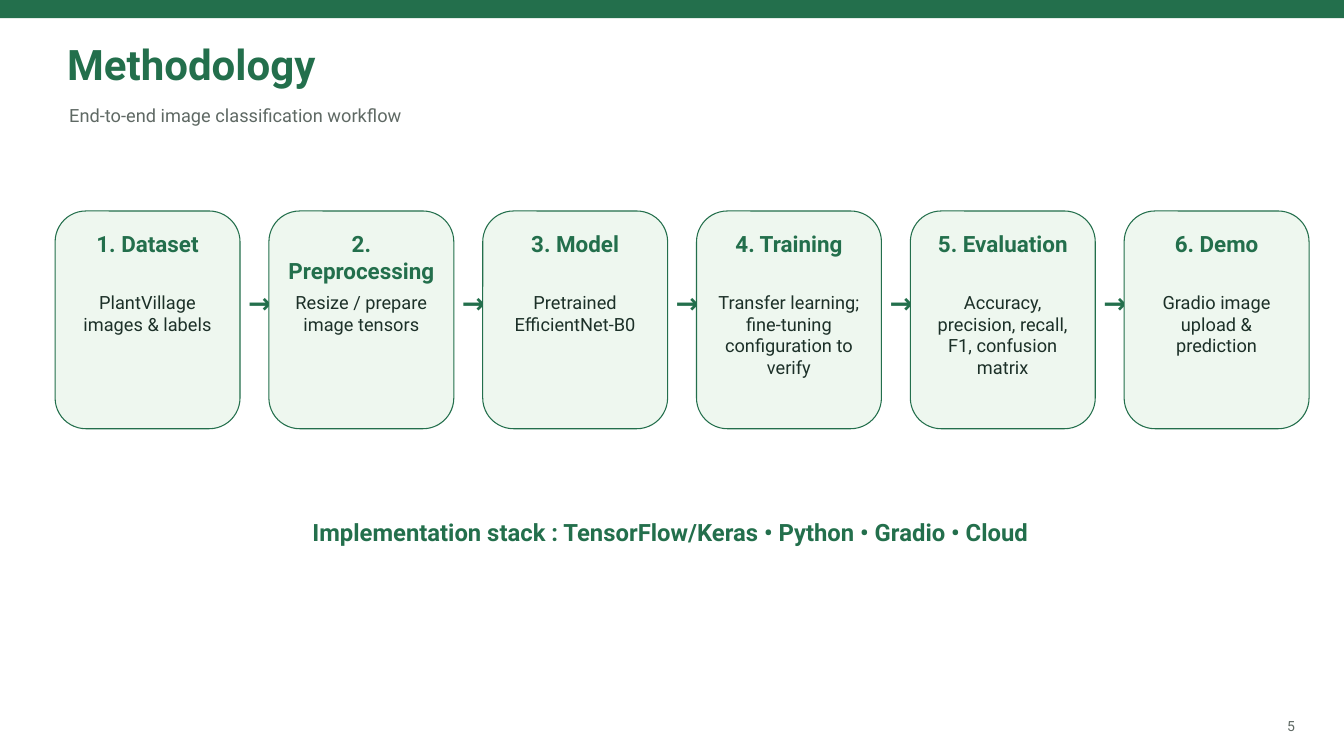
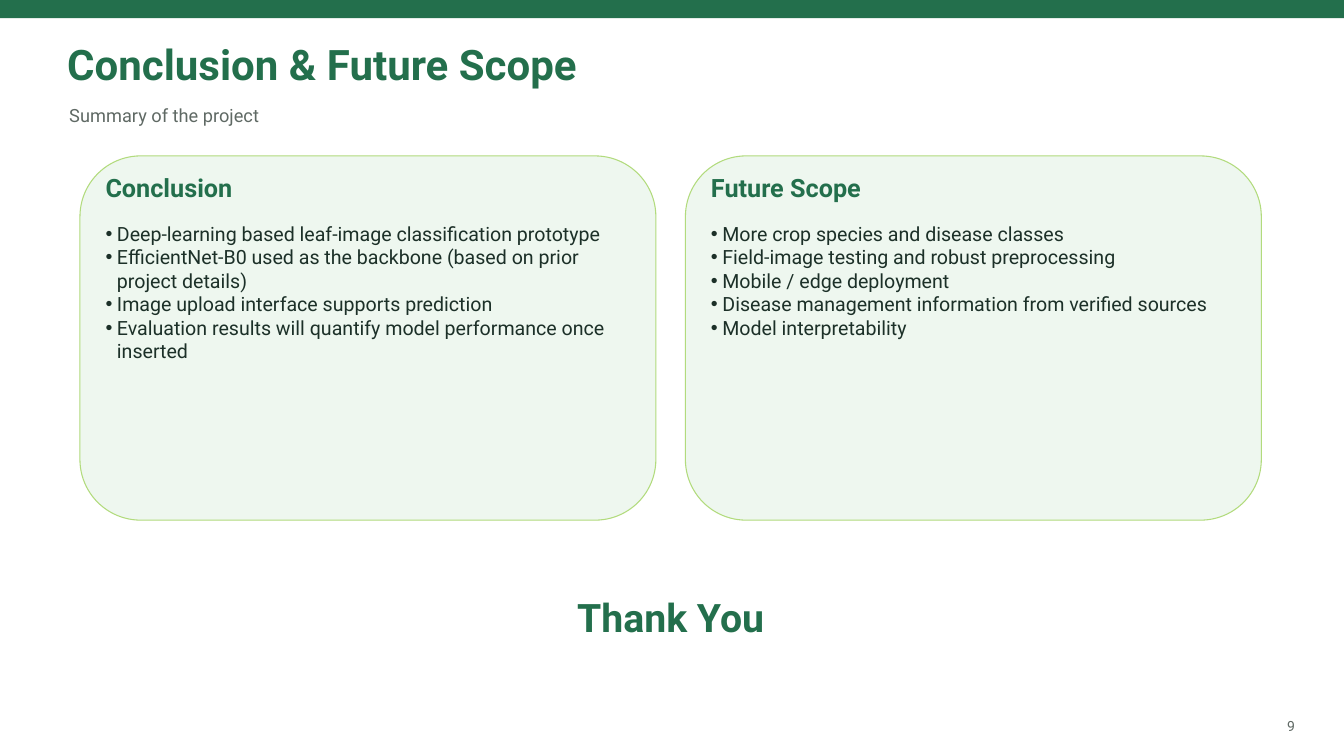
from dataclasses import dataclass

from lxml.etree import SubElement
from pptx import Presentation
from pptx.dml.color import RGBColor
from pptx.enum.shapes import MSO_SHAPE
from pptx.enum.text import MSO_ANCHOR, MSO_AUTO_SIZE, PP_ALIGN
from pptx.oxml.ns import qn
from pptx.util import Inches, Pt


@dataclass(frozen=True)
class Theme:
    """Colours, font and type sizes shared by the slides."""
    font: str = "Roboto"
    green: str = "236F4C"
    lime: str = "B2DB7D"
    pale: str = "EEF7EF"
    ink: str = "1C3028"
    grey: str = "5F6964"
    title: float = 45
    closing: float = 42
    arrow: float = 30
    heading: float = 27
    stack: float = 25.5
    step: float = 24
    bullet: float = 21
    text: float = 19.5
    number: float = 15
    leading: float = 1.2
    outline: float = 1.13


@dataclass(frozen=True)
class Box:
    """A rectangle in inches."""
    left: float
    top: float
    width: float
    height: float

    def inner(self, dx, dy, width, height):
        """Return a box offset from this one's top left corner."""
        return Box(self.left + dx, self.top + dy, width, height)

    def emu(self):
        """Return the four lengths as Inches."""
        return [Inches(v) for v in (self.left, self.top, self.width, self.height)]


THEME = Theme()
TITLE_ONLY, TWO_CONTENT = 5, 3
STEPS = [
    ("1. Dataset", "PlantVillage images & labels"),
    ("2. Preprocessing", "Resize / prepare image tensors"),
    ("3. Model", "Pretrained EfficientNet-B0"),
    ("4. Training", "Transfer learning; fine-tuning configuration to verify"),
    ("5. Evaluation", "Accuracy, precision, recall, F1, confusion matrix"),
    ("6. Demo", "Gradio image upload & prediction"),
]
CARDS = [
    ("Conclusion", [
        "Deep-learning based leaf-image classification prototype",
        "EfficientNet-B0 used as the backbone (based on prior project details)",
        "Image upload interface supports prediction",
        "Evaluation results will quantify model performance once inserted",
    ]),
    ("Future Scope", [
        "More crop species and disease classes",
        "Field-image testing and robust preprocessing",
        "Mobile / edge deployment",
        "Disease management information from verified sources",
        "Model interpretability",
    ]),
]


def write(sp, text, size, color, bold=False, align=PP_ALIGN.LEFT):
    """Fill a shape with evenly styled text, one paragraph per line."""
    tf = sp.text_frame
    tf.text = text
    tf.word_wrap = True
    tf.auto_size = MSO_AUTO_SIZE.NONE
    tf.vertical_anchor = MSO_ANCHOR.TOP
    tf.margin_left = tf.margin_top = tf.margin_right = tf.margin_bottom = 0
    for p in tf.paragraphs:
        p.alignment = align
        p.line_spacing = Pt(size * THEME.leading)
        p.space_before = Pt(0)
        for r in p.runs:
            r.font.name = THEME.font
            r.font.size = Pt(size)
            r.font.bold = bold
            r.font.color.rgb = RGBColor.from_string(color)


def add_text(slide, box, *args, **kwargs):
    """Add a text box and write into it."""
    write(slide.shapes.add_textbox(*box.emu()), *args, **kwargs)


def place(sp, box):
    """Move a placeholder to a box."""
    sp.left, sp.top, sp.width, sp.height = box.emu()


def add_panel(slide, box, fill, line=None, preset=MSO_SHAPE.ROUNDED_RECTANGLE):
    """Add a flat filled shape with an optional outline."""
    sp = slide.shapes.add_shape(preset, *box.emu())
    sp.shadow.inherit = False
    sp.fill.solid()
    sp.fill.fore_color.rgb = RGBColor.from_string(fill)
    if line:
        sp.line.color.rgb = RGBColor.from_string(line)
        sp.line.width = Pt(THEME.outline)
    else:
        sp.line.fill.background()


def add_bullets(tf, indent):
    """Give every paragraph a hanging bullet."""
    for p in tf.paragraphs:
        pPr = p._p.get_or_add_pPr()
        pPr.set("marL", str(Inches(indent)))
        pPr.set("indent", str(-Inches(indent)))
        SubElement(pPr, qn("a:buChar")).set("char", "•")


def add_base(prs, layout, title, subtitle, number):
    """Add a slide with the top band, title, subtitle and page number."""
    slide = prs.slides.add_slide(prs.slide_layouts[layout])
    add_panel(slide, Box(0, 0, 20, 0.27), THEME.green, preset=MSO_SHAPE.RECTANGLE)
    place(slide.shapes.title, Box(1, 0.58, 17.96, 0.88))
    write(slide.shapes.title, title, THEME.title, THEME.green, bold=True)
    add_text(slide, Box(1.03, 1.55, 17.81, 0.47), subtitle, THEME.text, THEME.grey)
    add_text(slide, Box(18.79, 10.68, 0.48, 0.28), str(number), THEME.number,
             THEME.grey, align=PP_ALIGN.RIGHT)
    return slide


def add_step(slide, box, name, detail):
    """Add one workflow step with its name and detail."""
    add_panel(slide, box, THEME.pale, THEME.green)
    width = box.width - 0.58
    add_text(slide, box.inner(0.29, 0.29, width, 0.68), name, THEME.step,
             THEME.green, bold=True, align=PP_ALIGN.CENTER)
    add_text(slide, box.inner(0.29, 1.19, width, 1.63), detail, THEME.text,
             THEME.ink, align=PP_ALIGN.CENTER)


def add_workflow(slide, box, steps, gap=0.43):
    """Spread the steps across a box with arrows in the gaps."""
    width = (box.width - gap * (len(steps) - 1)) / len(steps)
    for i, (name, detail) in enumerate(steps):
        step = box.inner(i * (width + gap), 0, width, box.height)
        if i:
            add_text(slide, step.inner(0.12 - gap, 1.11, 0.18, 0.5), "→", THEME.arrow,
                     THEME.green, bold=True, align=PP_ALIGN.CENTER)
        add_step(slide, step, name, detail)


def add_card(slide, box, body, heading, items):
    """Add a card whose list sits in a body placeholder."""
    add_panel(slide, box, THEME.pale, THEME.lime)
    width = box.width - 0.76
    add_text(slide, box.inner(0.38, 0.24, width, 0.53), heading, THEME.heading,
             THEME.green, bold=True)
    place(body, box.inner(0.38, 0.98, width, 4.19))
    write(body, "\n".join(items), THEME.bullet, THEME.ink)
    add_bullets(body.text_frame, 0.17)
    slide.shapes._spTree.append(body._element)


def add_closing(slide, box, text, size):
    """Add a centred bold line below the main content."""
    add_text(slide, box, text, size, THEME.green, bold=True, align=PP_ALIGN.CENTER)


def build_methodology(prs):
    """Build the workflow slide."""
    slide = add_base(prs, TITLE_ONLY, "Methodology",
                     "End-to-end image classification workflow", 5)
    add_workflow(slide, Box(0.82, 3.14, 18.66, 3.24), STEPS)
    add_closing(slide, Box(1.3, 7.71, 17.36, 0.42),
                "Implementation stack : TensorFlow/Keras • Python • Gradio • Cloud",
                THEME.stack)


def build_conclusion(prs):
    """Build the closing slide with its two cards."""
    slide = add_base(prs, TWO_CONTENT, "Conclusion & Future Scope",
                     "Summary of the project", 9)
    bodies = [sp for sp in slide.placeholders if sp.placeholder_format.idx > 0]
    for i, (body, (heading, items)) in enumerate(zip(bodies, CARDS)):
        add_card(slide, Box(1.19 + i * 9.01, 2.32, 8.57, 5.42), body, heading, items)
    add_closing(slide, Box(1.3, 8.83, 17.36, 0.8), "Thank You", THEME.closing)


def main():
    """Build and save the presentation."""
    prs = Presentation()
    prs.slide_width, prs.slide_height = Inches(20), Inches(11.25)
    build_methodology(prs)
    build_conclusion(prs)
    prs.save("out.pptx")


if __name__ == "__main__":
    main()
